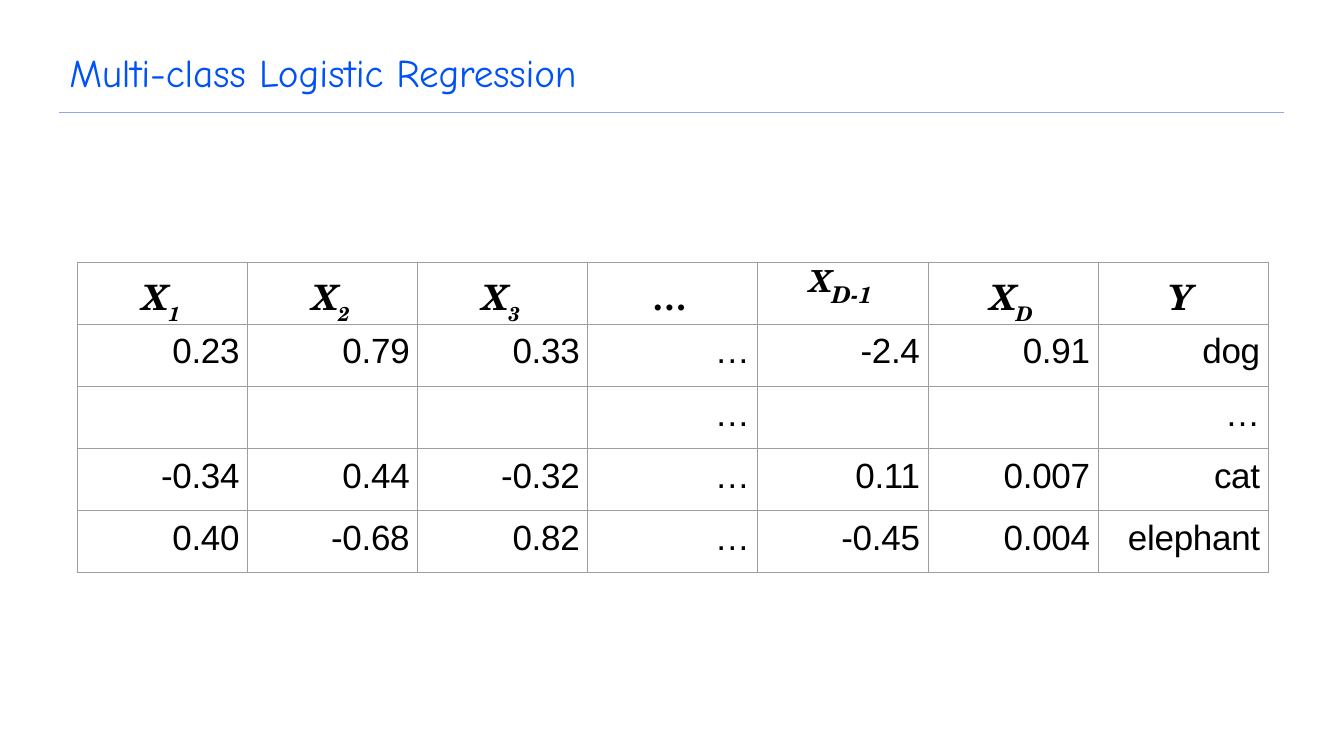
from dataclasses import dataclass

from lxml import etree
from pptx import Presentation
from pptx import util as u
from pptx.dml.color import RGBColor
from pptx.enum import shapes, text
from pptx.oxml import ns


@dataclass(frozen=True)
class Theme:
    title_font: str = "Comic Neue"
    symbol_font: str = "TeX Gyre Schola"
    value_font: str = "Arial"
    title: str = "0052F6"
    rule: str = "8FAADC"
    ink: str = "000000"
    grid: str = "9E9E9E"
    title_size: float = 28
    value_size: float = 25
    subscript_size: float = 24.8
    raised_size: float = 37.5
    lowered_size: float = 16.5


THEME = Theme()
CELL_INSET = 5.8

# Each symbol is a letter and its subscript
SYMBOLS = [("X", "1"), ("X", "2"), ("X", "3"), ("…", ""),
           ("X", "D-1"), ("X", "D"), ("Y", "")]
SAMPLES = [
    ["0.23", "0.79", "0.33", "…", "-2.4", "0.91", "dog"],
    ["", "", "", "…", "", "", "…"],
    ["-0.34", "0.44", "-0.32", "…", "0.11", "0.007", "cat"],
    ["0.40", "-0.68", "0.82", "…", "-0.45", "0.004", "elephant"],
]


def add_run(paragraph, wording, font, size, color=THEME.ink, italic_bold=False,
            spacing=0, baseline=0):
    """Spacing is in points, baseline in percent."""
    run = paragraph.add_run()
    run.text = wording
    run.font.name, run.font.size = font, u.Pt(size)
    run.font.color.rgb = RGBColor.from_string(color)
    run.font.bold = run.font.italic = italic_bold
    properties = run._r.get_or_add_rPr()
    properties.set("spc", str(round(spacing * 100)))
    if baseline:
        properties.set("baseline", str(baseline * 1000))


def add_heading(slide, left, top, width, height):
    # Title
    box = slide.shapes.add_textbox(u.Pt(left), u.Pt(top), u.Pt(width), u.Pt(height))
    frame = box.text_frame
    frame.word_wrap = True
    frame.vertical_anchor = text.MSO_ANCHOR.BOTTOM
    heading = frame.paragraphs[0]
    heading.line_spacing = 0.9
    for wording, spacing in [("Multi-", -0.1), ("class Logistic", 0), (" Regression", -0.1)]:
        add_run(heading, wording, THEME.title_font, THEME.title_size, THEME.title,
                spacing=spacing)

    # Rule under the title
    rule_y = u.Pt(top + height + 8.6)
    rule = slide.shapes.add_connector(shapes.MSO_CONNECTOR.STRAIGHT,
                                      u.Pt(left), rule_y, u.Pt(left + 874.8), rule_y)
    rule.line.color.rgb = RGBColor.from_string(THEME.rule)
    rule.line.width = u.Pt(0.5)
    etree.SubElement(rule._element.spPr, ns.qn("a:effectLst"))


def style_cell(cell, right_inset):
    cell.margin_left = cell.margin_bottom = 0
    cell.margin_top, cell.margin_right = u.Pt(CELL_INSET), u.Pt(right_inset)
    properties = cell._tc.get_or_add_tcPr()
    for side in ("lnL", "lnR", "lnT", "lnB"):
        border = etree.SubElement(properties, ns.qn(f"a:{side}"), w=str(u.Pt(0.75)))
        fill = etree.SubElement(border, ns.qn("a:solidFill"))
        etree.SubElement(fill, ns.qn("a:srgbClr"), val=THEME.grid)
    cell.fill.background()


def write_symbol(cell, letter, subscript):
    symbol = cell.text_frame.paragraphs[0]
    if len(subscript) > 1:
        # The long subscript sits on the line, with its letter raised
        cell.margin_top = u.Pt(15.1)
        symbol._p.get_or_add_pPr().set("marL", str(u.Pt(36.7)))
        symbol.line_spacing = u.Pt(28.2)
        add_run(symbol, letter, THEME.symbol_font, THEME.raised_size,
                italic_bold=True, baseline=21)
        add_run(symbol, subscript, THEME.symbol_font, THEME.lowered_size, italic_bold=True)
        return
    symbol.alignment = text.PP_ALIGN.CENTER
    add_run(symbol, letter, THEME.symbol_font, THEME.value_size,
            italic_bold=True, spacing=-0.2 if subscript else 0)
    if subscript:
        add_run(symbol, subscript, THEME.symbol_font, THEME.subscript_size,
                italic_bold=True, spacing=-0.4, baseline=-32)


def write_value(cell, value):
    if not value:
        return
    entry = cell.text_frame.paragraphs[0]
    entry.alignment = text.PP_ALIGN.RIGHT
    add_run(entry, value, THEME.value_font, THEME.value_size,
            spacing=0 if value == "…" else -0.2)


def add_samples(slide, left, top, width, height):
    samples = slide.shapes.add_table(len(SAMPLES) + 1, len(SYMBOLS), u.Pt(left), u.Pt(top),
                                     u.Pt(width), u.Pt(height)).table
    samples.first_row = samples.horz_banding = False

    # Header of feature symbols
    for column, (letter, subscript) in enumerate(SYMBOLS):
        cell = samples.cell(0, column)
        style_cell(cell, right_inset=2)
        write_symbol(cell, letter, subscript)

    # Sample values
    for row, values in enumerate(SAMPLES, start=1):
        for column, value in enumerate(values):
            cell = samples.cell(row, column)
            style_cell(cell, right_inset=CELL_INSET)
            write_value(cell, value)


def main():
    deck = Presentation()
    deck.slide_width, deck.slide_height = u.Pt(960), u.Pt(540)
    slide = deck.slides.add_slide(deck.slide_layouts[6])
    add_heading(slide, left=42.5, top=21.6, width=860.4, height=50.4)
    add_samples(slide, left=55.4, top=187.2, width=850.5, height=222)
    deck.save("out.pptx")


if __name__ == "__main__":
    main()
